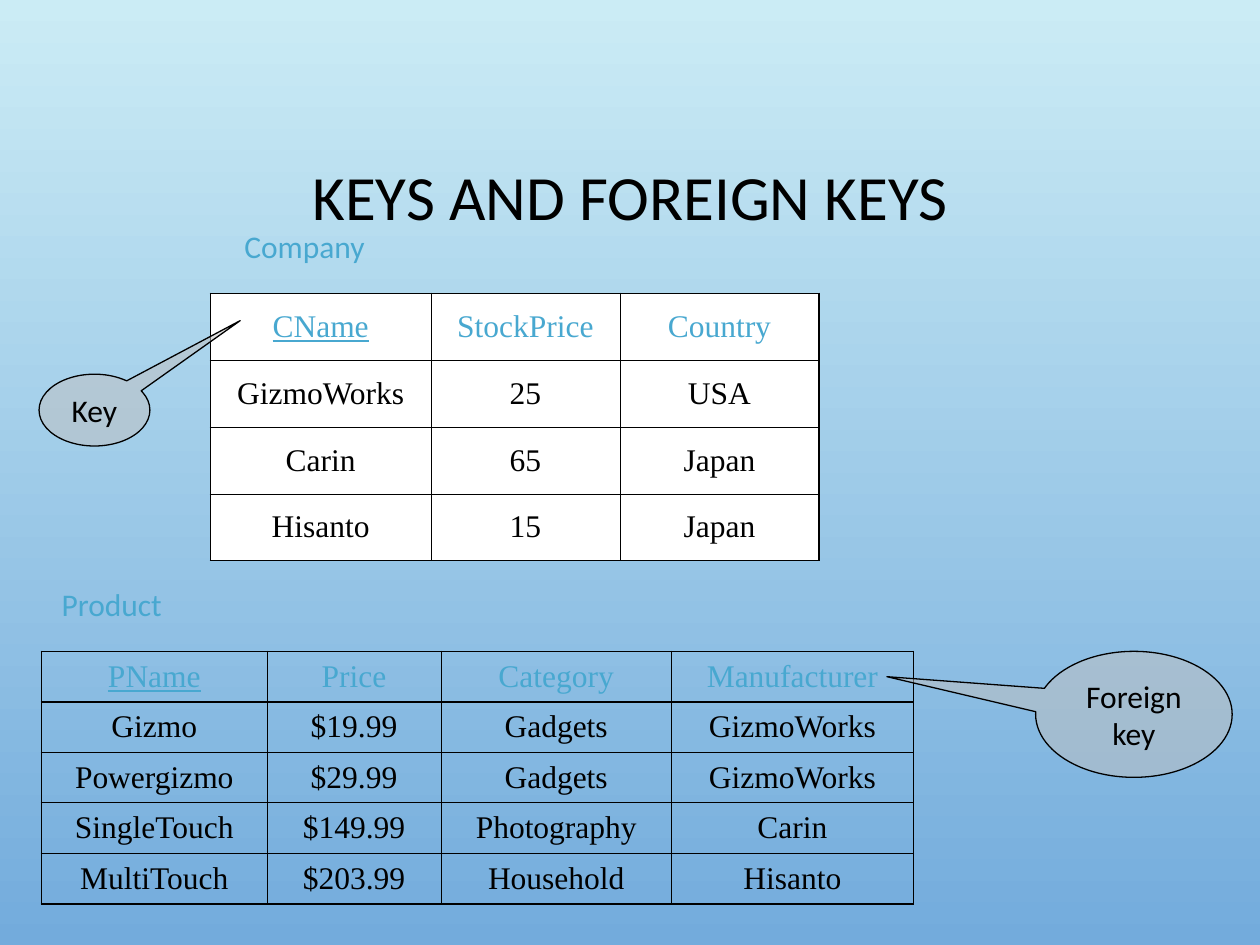
from lxml import etree
from pptx import Presentation
from pptx.dml.color import RGBColor
from pptx.enum.shapes import MSO_SHAPE
from pptx.enum.text import MSO_ANCHOR as ANCHOR, PP_ALIGN as ALIGN
from pptx.oxml.ns import qn
from pptx.util import Inches, Pt

BLACK = RGBColor(0x00, 0x00, 0x00)
WHITE = RGBColor(0xFF, 0xFF, 0xFF)
TEAL = RGBColor(0x48, 0xA8, 0xD0)
GREY = RGBColor(0xC0, 0xC0, 0xC0)
SKY_TOP = RGBColor(0xCB, 0xEC, 0xF5)
SKY_BOTTOM = RGBColor(0x73, 0xAB, 0xDC)
THICK, THIN = Pt(1.08), Pt(0.45)


class SlideBuilder:
    """Holds the slide and the style shared by its elements."""
    body_font = "Calibri"
    table_font = "Times New Roman"
    size = 18

    def __init__(self, slide):
        self.s = slide

    def background(self, top, bottom):
        fill = self.s.background.fill
        fill.gradient()
        fill.gradient_angle = 270
        for stop, color, position in zip(fill.gradient_stops, (top, bottom), (0, 1)):
            stop.color.rgb = color
            stop.position = position

    def run(self, p, text, color, font=None, size=None, underline=None):
        r = p.add_run()
        r.text = text
        r.font.name = font or self.body_font
        r.font.size = Pt(size or self.size)
        r.font.color.rgb = color
        r.font.underline = underline

    def text(self, box, text, color, size=None, align=ALIGN.LEFT,
             anchor=ANCHOR.TOP, wrap=False):
        tf = self.s.shapes.add_textbox(*map(Inches, box)).text_frame
        tf.word_wrap = wrap
        tf.vertical_anchor = anchor
        p = tf.paragraphs[0]
        p.alignment = align
        self.run(p, text, color, size=size)

    def callout(self, box, tip, lines):
        sp = self.s.shapes.add_shape(MSO_SHAPE.OVAL_CALLOUT, *map(Inches, box))
        sp.adjustments[0], sp.adjustments[1] = tip
        sp.shadow.inherit = False
        sp.fill.solid()
        sp.fill.fore_color.rgb = GREY
        clr = sp.fill._xPr.find(".//" + qn("a:srgbClr"))
        etree.SubElement(clr, qn("a:alpha"), val="50000")
        sp.line.color.rgb = BLACK
        sp.line.width = Pt(0.75)
        tf = sp.text_frame
        tf.word_wrap = False
        tf.vertical_anchor = ANCHOR.MIDDLE
        p = tf.paragraphs[0]
        p.alignment = ALIGN.CENTER
        for i, line in enumerate(lines):
            if i:
                p.add_line_break()
            self.run(p, line, BLACK)

    def borders(self, cell, **widths):
        tc_pr = cell._tc.get_or_add_tcPr()
        for i, (side, width) in enumerate(widths.items()):
            ln = etree.Element(qn("a:ln" + side), w=str(int(width)))
            fill = etree.SubElement(ln, qn("a:solidFill"))
            etree.SubElement(fill, qn("a:srgbClr"), val=str(BLACK))
            tc_pr.insert(i, ln)

    def table(self, left, top, col_widths, row_height, rows, fill=None):
        n_rows, n_cols = len(rows), len(col_widths)
        tbl = self.s.shapes.add_table(
            n_rows, n_cols, Inches(left), Inches(top),
            Inches(sum(col_widths)), Inches(row_height * n_rows)).table
        tbl.first_row = tbl.horz_banding = False
        for col, width in zip(tbl.columns, col_widths):
            col.width = Inches(width)
        for i, row in enumerate(rows):
            tbl.rows[i].height = Inches(row_height)
            for j, value in enumerate(row):
                cell = tbl.cell(i, j)
                cell.vertical_anchor = ANCHOR.MIDDLE
                if fill is None:
                    cell.fill.background()
                else:
                    cell.fill.solid()
                    cell.fill.fore_color.rgb = fill
                # Thick lines frame the table and close the header row
                self.borders(cell,
                             L=THICK if j == 0 else THIN,
                             R=THICK if j == n_cols - 1 else THIN,
                             T=THICK if i <= 1 else THIN,
                             B=THICK if i in (0, n_rows - 1) else THIN)
                p = cell.text_frame.paragraphs[0]
                p.alignment = ALIGN.CENTER
                # The first header cell is the underlined key
                self.run(p, value, BLACK if i else TEAL, self.table_font,
                         underline=True if i == j == 0 else None)


def main():
    prs = Presentation()
    prs.slide_width, prs.slide_height = Inches(10), Inches(7.5)
    b = SlideBuilder(prs.slides.add_slide(prs.slide_layouts[6]))
    b.background(SKY_TOP, SKY_BOTTOM)

    # Title
    b.text((0.75, 0.68, 8.5, 1.74), "KEYS AND FOREIGN KEYS", BLACK, size=36,
           align=ALIGN.CENTER, anchor=ANCHOR.MIDDLE, wrap=True)

    # Product table
    b.table(0.33, 5.17, (1.79, 1.38, 1.83, 1.92), 0.4, [
        ("PName", "Price", "Category", "Manufacturer"),
        ("Gizmo", "$19.99", "Gadgets", "GizmoWorks"),
        ("Powergizmo", "$29.99", "Gadgets", "GizmoWorks"),
        ("SingleTouch", "$149.99", "Photography", "Carin"),
        ("MultiTouch", "$203.99", "Household", "Hisanto"),
    ])
    b.text((0.39, 4.59, 1.12, 0.4), "Product", TEAL)

    # Company table
    b.text((1.84, 1.75, 1.32, 0.4), "Company", TEAL)
    b.table(1.67, 2.33, (1.75, 1.5, 1.58), 0.53, [
        ("CName", "StockPrice", "Country"),
        ("GizmoWorks", "25", "USA"),
        ("Carin", "65", "Japan"),
        ("Hisanto", "15", "Japan"),
    ], fill=WHITE)

    # Callouts
    b.callout((0.31, 2.97, 0.88, 0.57), (1.315, -1.246), ["Key"])
    b.callout((8.22, 5.17, 1.56, 1), (-1.257, -0.299), ["Foreign", "key"])

    prs.save("out.pptx")


if __name__ == "__main__":
    main()
